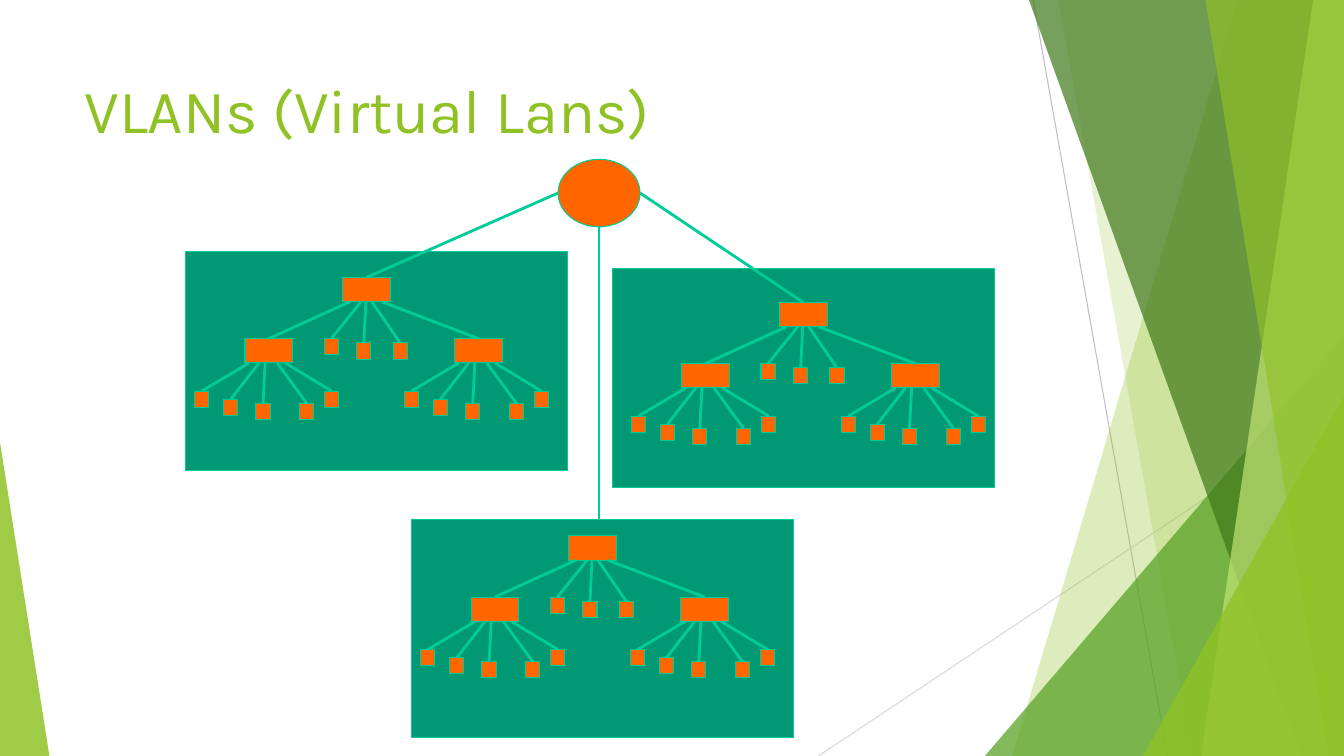
"""Builds the slide that shows three VLAN trees joined to one backbone."""
from dataclasses import dataclass
from typing import NamedTuple

import lxml.etree
import pptx
import pptx.dml.color
import pptx.enum.shapes
import pptx.enum.text
import pptx.oxml.ns
import pptx.util

Pt = pptx.util.Pt
SHAPES = pptx.enum.shapes.MSO_SHAPE
STRAIGHT = pptx.enum.shapes.MSO_CONNECTOR.STRAIGHT
TOP_SIDE = 0

COLORS = {
    "lime": "90C226",
    "leaf": "54A021",
    "forest": "3F7819",
    "pale": "C0E474",
    "panel": "009973",
    "device": "FF6600",
    "outline": "00CC98",
    "cable": "00CC99",
    "gray": "BFBFBF",
    "light gray": "D9D9D9",
}
SLIDE_W, SLIDE_H = 960, 540
PANEL_W, PANEL_H = 272.9, 156.2
HUB_W, HUB_H = 34, 17.4
HOST_W, HOST_H = 10.2, 11.5


class Box(NamedTuple):
    """Position and size in points."""
    left: float
    top: float
    width: float
    height: float


class Child(NamedTuple):
    """Offset of a device from its parent, and where its cable leaves the parent."""
    dx: float
    dy: float
    port: float


@dataclass(frozen=True)
class Vlan:
    """Corners of a VLAN panel and of its root switch, and the cable from the backbone."""
    panel: tuple[float, float]
    root: tuple[float, float]
    uplink: tuple[float, float]
    joins_root: bool


@dataclass(frozen=True)
class Band:
    """A translucent strip: four corner x values, top pair then bottom pair."""
    corners: tuple[float, float, float, float]
    color: str
    opacity: int


@dataclass(frozen=True)
class Wedge:
    """A translucent triangle with its apex at the given share of the width."""
    box: Box
    apex: float
    color: str
    opacity: int


DECOR = [
    Band((884, 960, 960, 723), "lime", 30),
    Band((756, 960, 960, 852), "lime", 20),
    Wedge(Box(703.5, 240, 256.5, 300), 1, "leaf", 72),
    Band((735, 960, 960, 929.5), "forest", 70),
    Band((938, 960, 960, 858), "pale", 70),
    Band((861, 960, 960, 949), "lime", 65),
    Wedge(Box(816.5, 283, 143.5, 257), 1, "lime", 80),
    Wedge(Box(0, 316, 35.3, 224), 0, "lime", 85),
]
BACKBONE = Box(398.6, 113.8, 58.6, 48.2)
MID_Y = BACKBONE.top + BACKBONE.height / 2
MID_X = BACKBONE.left + BACKBONE.width / 2
VLANS = [
    Vlan((132.4, 179.8), (244.8, 198.2), (BACKBONE.left, MID_Y), True),
    Vlan((437.6, 192), (556.8, 216), (BACKBONE.left + BACKBONE.width, MID_Y), True),
    Vlan((293.8, 370.8), (406.3, 382.8), (MID_X, BACKBONE.top + BACKBONE.height), False),
]
ROOT_HOSTS = [Child(-13.2, 43.7, 13), Child(10, 46.8, 16.6), Child(36, 46.8, 20.9)]
ROOT_HUBS = [Child(-69.8, 43.7, 5), Child(80, 43.7, 28)]
HUB_HOSTS = [
    Child(-36, 37.5, 2.9),
    Child(-15.3, 43.3, 10),
    Child(7.8, 46.2, 14.4),
    Child(39, 46.2, 23),
    Child(56.9, 37.5, 28.8),
]


def rgb(name: str) -> pptx.dml.color.RGBColor:
    """Return a named colour."""
    return pptx.dml.color.RGBColor.from_string(COLORS[name])


def paint(shape, fill: str, outline: str | None = None) -> None:
    """Give a shape its fill and outline, without a shadow."""
    shape.shadow.inherit = False
    shape.fill.solid()
    shape.fill.fore_color.rgb = rgb(fill)
    if outline is None:
        shape.line.fill.background()
    else:
        shape.line.color.rgb = rgb(outline)
        shape.line.width = Pt(0.75)


def set_opacity(shape, percent: int) -> None:
    """Make the solid fill of a shape translucent."""
    qn = pptx.oxml.ns.qn
    color = shape.fill._xPr.find(qn("a:solidFill")).find(qn("a:srgbClr"))
    lxml.etree.SubElement(color, qn("a:alpha")).set("val", str(percent * 1000))


def add_block(slide, kind, box: Box, fill: str, outline: str | None = None):
    """Add a painted preset shape."""
    shape = slide.shapes.add_shape(kind, *(Pt(length) for length in box))
    paint(shape, fill, outline)
    return shape


def add_line(slide, start: tuple, end: tuple, color: str, width: float):
    """Add a straight line without a shadow."""
    line = slide.shapes.add_connector(STRAIGHT, *(Pt(v) for v in (*start, *end)))
    line.line.color.rgb = rgb(color)
    line.line.width = Pt(width)
    lxml.etree.SubElement(line._element.spPr, pptx.oxml.ns.qn("a:effectLst"))
    return line


def add_decor(slide, part: Band | Wedge) -> None:
    """Add one translucent strip or triangle."""
    if isinstance(part, Wedge):
        shape = add_block(slide, SHAPES.ISOSCELES_TRIANGLE, part.box, part.color)
        shape.adjustments[0] = part.apex
    else:
        heights = (0, 0, SLIDE_H, SLIDE_H)
        first, *others = [(Pt(x), Pt(y)) for x, y in zip(part.corners, heights)]
        builder = slide.shapes.build_freeform(*first)
        builder.add_line_segments(others, close=True)
        shape = builder.convert_to_shape()
        paint(shape, part.color)
    set_opacity(shape, part.opacity)


def add_child(slide, parent: Box, child: Child, width: float, height: float) -> Box:
    """Add a device below its parent and the cable between them."""
    box = Box(parent.left + child.dx, parent.top + child.dy, width, height)
    device = add_block(slide, SHAPES.RECTANGLE, box, "device", "outline")
    port = (parent.left + child.port, parent.top + parent.height)
    cable = add_line(slide, (box.left + width / 2, box.top), port, "cable", 2)
    cable.begin_connect(device, TOP_SIDE)
    return box


def add_vlan(slide, vlan: Vlan) -> None:
    """Add the tree of one VLAN and its uplink."""
    root_box = Box(*vlan.root, HUB_W, HUB_H)
    root = add_block(slide, SHAPES.RECTANGLE, root_box, "device", "outline")
    for host in ROOT_HOSTS:
        add_child(slide, root_box, host, HOST_W, HOST_H)
    for hub in ROOT_HUBS:
        hub_box = add_child(slide, root_box, hub, HUB_W, HUB_H)
        for host in HUB_HOSTS:
            add_child(slide, hub_box, host, HOST_W, HOST_H)
    uplink = add_line(slide, vlan.uplink, (MID_X, vlan.panel[1]), "cable", 2)
    if vlan.joins_root:
        uplink.end_connect(root, TOP_SIDE)


def add_title(slide) -> None:
    """Add the slide title."""
    title = slide.shapes.add_textbox(Pt(53.3), Pt(48), Pt(677), Pt(104))
    frame = title.text_frame
    frame.word_wrap = True
    frame.vertical_anchor = pptx.enum.text.MSO_ANCHOR.TOP
    frame.text = "VLANs (Virtual Lans)"
    font = frame.paragraphs[0].runs[0].font
    font.name = "Karla"
    font.size = Pt(44)
    font.color.rgb = rgb("lime")


def main() -> None:
    """Build and save the slide."""
    deck = pptx.Presentation()
    deck.slide_width, deck.slide_height = Pt(SLIDE_W), Pt(SLIDE_H)
    slide = deck.slides.add_slide(deck.slide_layouts[6])
    add_line(slide, (738, 0), (834, SLIDE_H), "gray", 0.75)
    add_line(slide, (SLIDE_W, 290), (584.6, SLIDE_H), "light gray", 0.75)
    for part in DECOR:
        add_decor(slide, part)
    add_title(slide)
    for vlan in VLANS:
        add_block(slide, SHAPES.RECTANGLE, Box(*vlan.panel, PANEL_W, PANEL_H), "panel", "outline")
    for vlan in VLANS:
        add_vlan(slide, vlan)
    add_block(slide, SHAPES.OVAL, BACKBONE, "device", "outline")
    deck.save("out.pptx")


if __name__ == "__main__":
    main()
